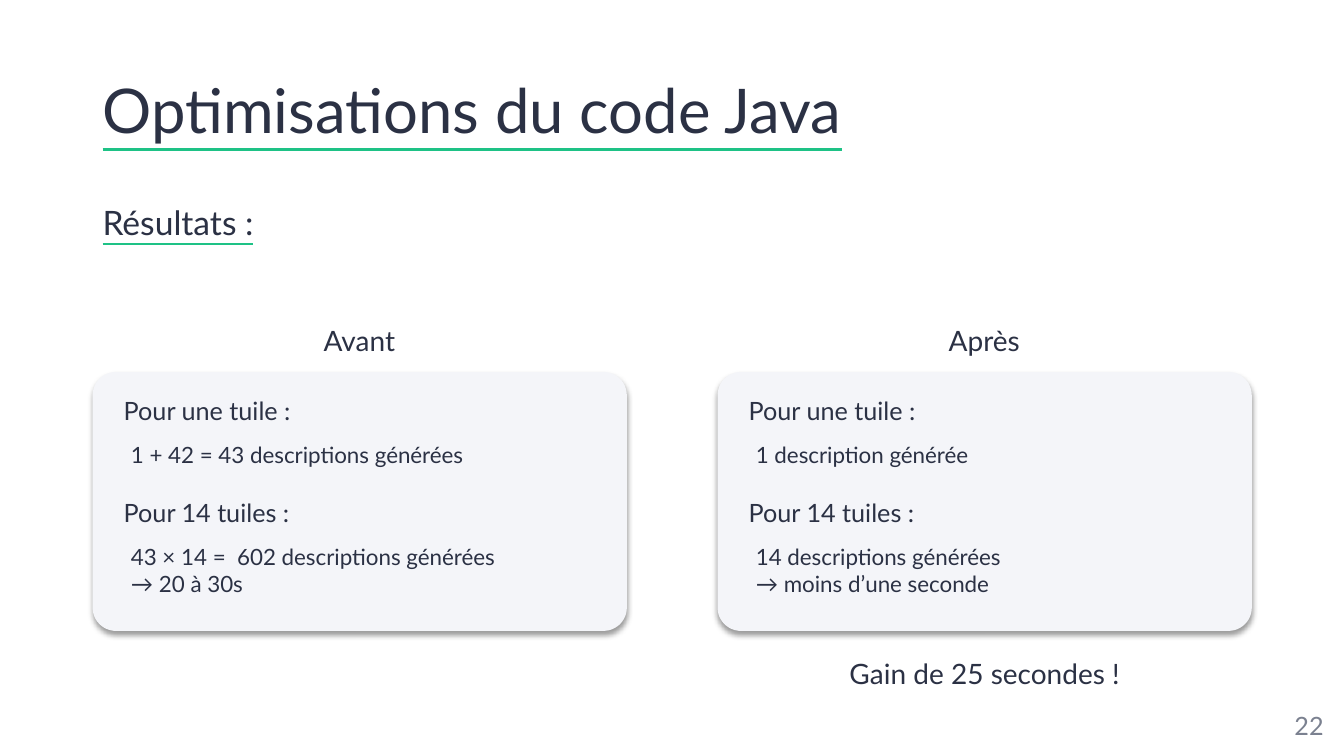
"""Build the slide comparing results before and after the Java code optimisations."""
from lxml import etree
from pptx import Presentation
from pptx import util as u
from pptx.dml import color
from pptx.enum import shapes, text
from pptx.oxml import ns

COLORS = {"ink": "2B3144", "accent": "1EC286", "card": "F4F5F9", "number": "7B8190", "shadow": "000000"}
COLUMN_STEP = 446.4
ALIGN = text.PP_ALIGN
ANCHOR = text.MSO_ANCHOR


def add_color(parent, hex_value):
    fill = etree.SubElement(parent, ns.qn("a:solidFill"))
    return etree.SubElement(fill, ns.qn("a:srgbClr"), val=hex_value)


def add_text(box, lines, size, ink="ink", align=ALIGN.LEFT, anchor=ANCHOR.TOP, spacing=1.0, underline=False):
    frame = slide.shapes.add_textbox(*map(u.Pt, box)).text_frame
    for name, value in {"word_wrap": True, "vertical_anchor": anchor}.items():
        setattr(frame, name, value)
    for index, line in enumerate(lines):
        paragraph = frame.paragraphs[0] if index == 0 else frame.add_paragraph()
        for name, value in {"alignment": align, "line_spacing": spacing}.items():
            setattr(paragraph, name, value)
        run = paragraph.add_run()
        run.text = line
        run.font.color.rgb = color.RGBColor.from_string(COLORS[ink])
        for name, value in {"name": "Lato", "size": u.Pt(size), "underline": underline}.items():
            setattr(run.font, name, value)
        if underline:
            properties = run.font._element
            underline_fill = etree.Element(ns.qn("a:uFill"))
            add_color(underline_fill, COLORS["accent"])
            properties.find(ns.qn("a:latin")).addprevious(underline_fill)


presentation = Presentation()
presentation.slide_width, presentation.slide_height = u.Pt(960), u.Pt(540)
slide = presentation.slides.add_slide(presentation.slide_layouts[6])

add_text((66.2, 28.8, 828, 104.4), ["Optimisations du code Java"], 44,
         anchor=ANCHOR.MIDDLE, spacing=0.9, underline=True)
add_text((66.2, 144, 828, 51), ["Résultats :"], 24, spacing=0.9, underline=True)

columns = [
    ("Avant", ["1 + 42 = 43 descriptions générées"],
     ["43 × 14 =  602 descriptions générées", "→ 20 à 30s"]),
    ("Après", ["1 description générée"],
     ["14 descriptions générées", "→ moins d’une seconde"]),
]
for column, (heading, one_tile, all_tiles) in enumerate(columns):
    left = 66.2 + column * COLUMN_STEP
    card = slide.shapes.add_shape(shapes.MSO_SHAPE.ROUNDED_RECTANGLE,
                                  u.Pt(left), u.Pt(265.7), u.Pt(381.6), u.Pt(185))
    card.adjustments[0] = 0.09
    card.fill.solid()
    card.fill.fore_color.rgb = color.RGBColor.from_string(COLORS["card"])
    card.line.fill.background()
    card.shadow.inherit = False
    effects = card._element.spPr.find(ns.qn("a:effectLst"))
    shadow = etree.SubElement(effects, ns.qn("a:outerShdw"), blurRad=str(u.Pt(4)),
                              dist=str(u.Pt(3)), dir="5400000", algn="t", rotWithShape="0")
    shadow_color = etree.SubElement(shadow, ns.qn("a:srgbClr"), val=COLORS["shadow"])
    etree.SubElement(shadow_color, ns.qn("a:alpha"), val="40000")

    add_text((left + 107.3, 227.5, 166.3, 31.7), [heading], 20, align=ALIGN.CENTER)
    for top, label, results in [(278.6, "Pour une tuile :", one_tile),
                                (351.4, "Pour 14 tuiles :", all_tiles)]:
        add_text((left + 15.1, top, 166.3, 28.8), [label], 18)
        add_text((left + 20.2, top + 33.1, 327.6, 7.2 + 19.4 * len(results)), results, 16)

add_text((552.2, 465.1, 302.4, 31.7), ["Gain de 25 secondes !"], 20, align=ALIGN.CENTER)
add_text((736.6, 504, 216, 28.8), ["22"], 18, ink="number", align=ALIGN.RIGHT, anchor=ANCHOR.MIDDLE)

presentation.save("out.pptx")
